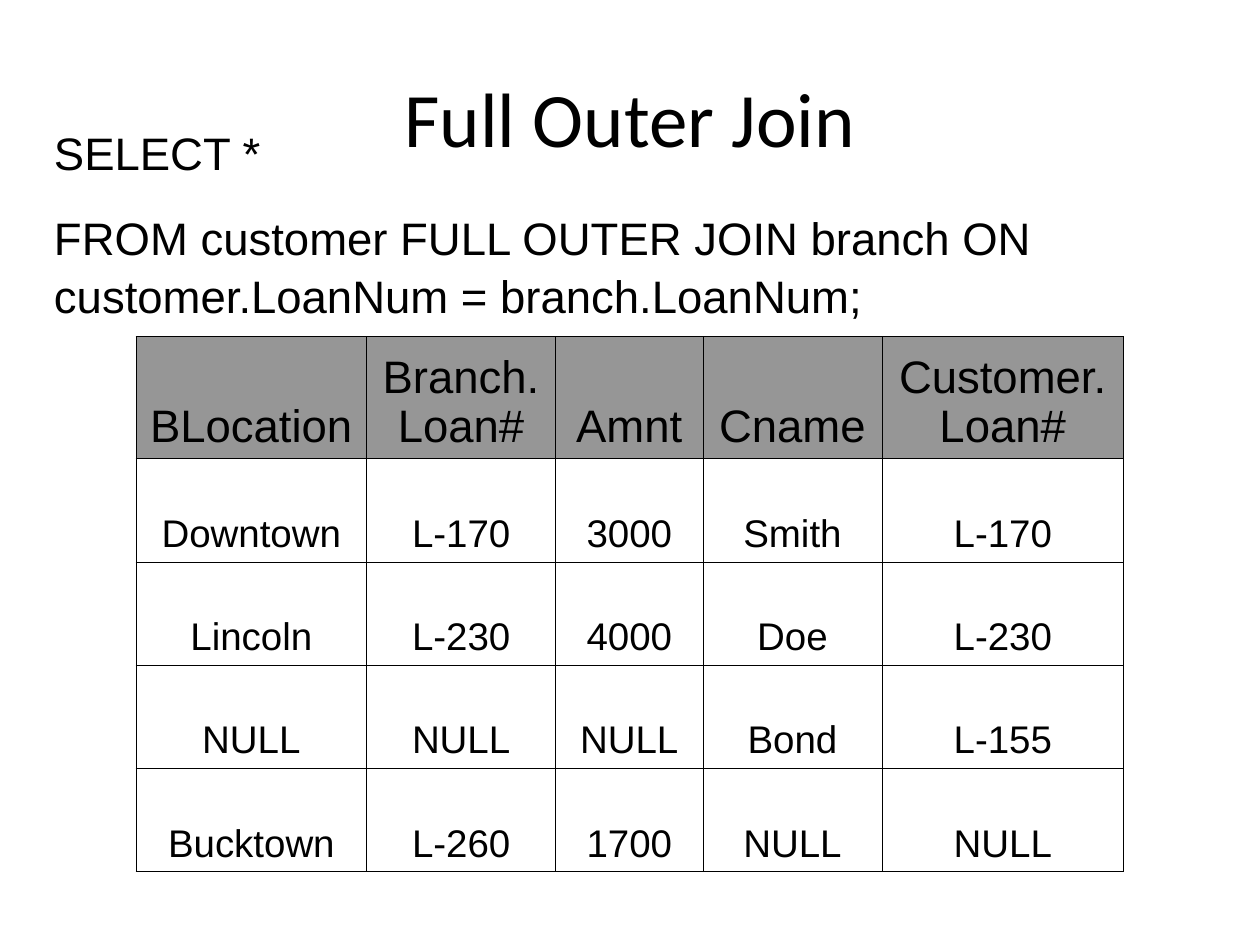
from lxml import etree
from pptx import Presentation
from pptx.dml.color import RGBColor
from pptx.enum.text import MSO_ANCHOR, MSO_AUTO_SIZE, PP_ALIGN
from pptx.oxml.ns import qn
from pptx.util import Inches, Pt

BLACK = RGBColor(0x00, 0x00, 0x00)
GRAY = RGBColor(0x96, 0x96, 0x96)
CENTER, LEFT = PP_ALIGN.CENTER, PP_ALIGN.LEFT
MIDDLE, TOP, BOTTOM = MSO_ANCHOR.MIDDLE, MSO_ANCHOR.TOP, MSO_ANCHOR.BOTTOM
GROW = MSO_AUTO_SIZE.SHAPE_TO_FIT_TEXT
NO_FIT = MSO_AUTO_SIZE.NONE

COL_WIDTHS = [1.83, 1.5, 1.17, 1.42, 1.92]
ROW_HEIGHTS = [0.97] + [0.82] * 4
ROWS = [
    ["BLocation", "Branch.\nLoan#", "Amnt", "Cname", "Customer.\nLoan#"],
    ["Downtown", "L-170", "3000", "Smith", "L-170"],
    ["Lincoln", "L-230", "4000", "Doe", "L-230"],
    ["NULL", "NULL", "NULL", "Bond", "L-155"],
    ["Bucktown", "L-260", "1700", "NULL", "NULL"],
]
QUERY = ("SELECT *\n"
         "FROM customer FULL OUTER JOIN branch ON customer.LoanNum = branch.LoanNum;")


def write(tf, text, size, font="Arial", align=CENTER, spacing=1.0, before=0):
    tf.text = text
    for i, p in enumerate(tf.paragraphs):
        p.alignment = align
        p.line_spacing = spacing
        p.space_before = Pt(before if i else 0)
        fmt = {"size": Pt(size), "name": font}
        for name, value in fmt.items():
            setattr(p.runs[0].font, name, value)
        p.runs[0].font.color.rgb = BLACK


def add_borders(cell):
    tcPr = cell._tc.get_or_add_tcPr()
    for side in ("lnL", "lnR", "lnT", "lnB"):
        ln = etree.SubElement(tcPr, qn(f"a:{side}"), w=str(Pt(0.45)))
        fill = etree.SubElement(ln, qn("a:solidFill"))
        etree.SubElement(fill, qn("a:srgbClr"), val=str(BLACK))


prs = Presentation()
prs.slide_width, prs.slide_height = Inches(10), Inches(7.5)
s = prs.slides.add_slide(prs.slide_layouts[6])

boxes = [
    ((0.5, 0.3, 9, 1.25), MIDDLE, NO_FIT,
     {"text": "Full Outer Join", "size": 44, "font": "Calibri"}),
    ((0.33, 0.92, 9.42, 1.63), TOP, GROW,
     {"text": QUERY, "size": 26, "align": LEFT, "spacing": 1.05, "before": 16.2}),
]
for place, anchor, fit, content in boxes:
    tf = s.shapes.add_textbox(*map(Inches, place)).text_frame
    tf.word_wrap = True
    tf.auto_size = fit
    tf.vertical_anchor = anchor
    write(tf, **content)

table = s.shapes.add_table(
    len(ROWS), len(COL_WIDTHS), Inches(1.08), Inches(2.67),
    Inches(sum(COL_WIDTHS)), Inches(sum(ROW_HEIGHTS))).table
for col, width in zip(table.columns, COL_WIDTHS):
    col.width = Inches(width)
for row, height in zip(table.rows, ROW_HEIGHTS):
    row.height = Inches(height)

for i, values in enumerate(ROWS):
    for j, value in enumerate(values):
        cell = table.cell(i, j)
        cell.vertical_anchor = BOTTOM
        add_borders(cell)
        if i == 0:
            cell.fill.solid()
            cell.fill.fore_color.rgb = GRAY
            write(cell.text_frame, value, 26, spacing=0.96)
        else:
            cell.fill.background()
            write(cell.text_frame, value, 22)

prs.save("out.pptx")
